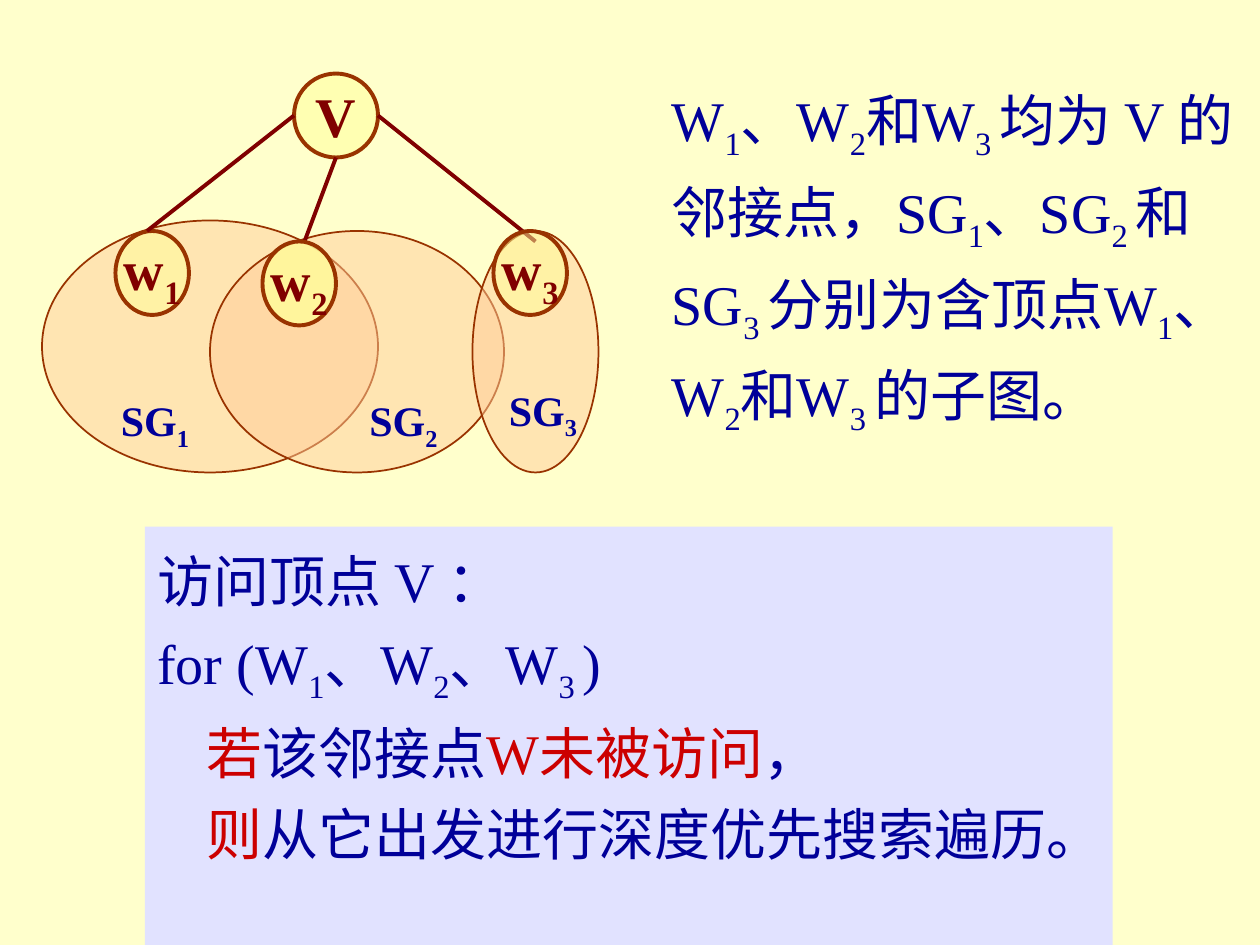
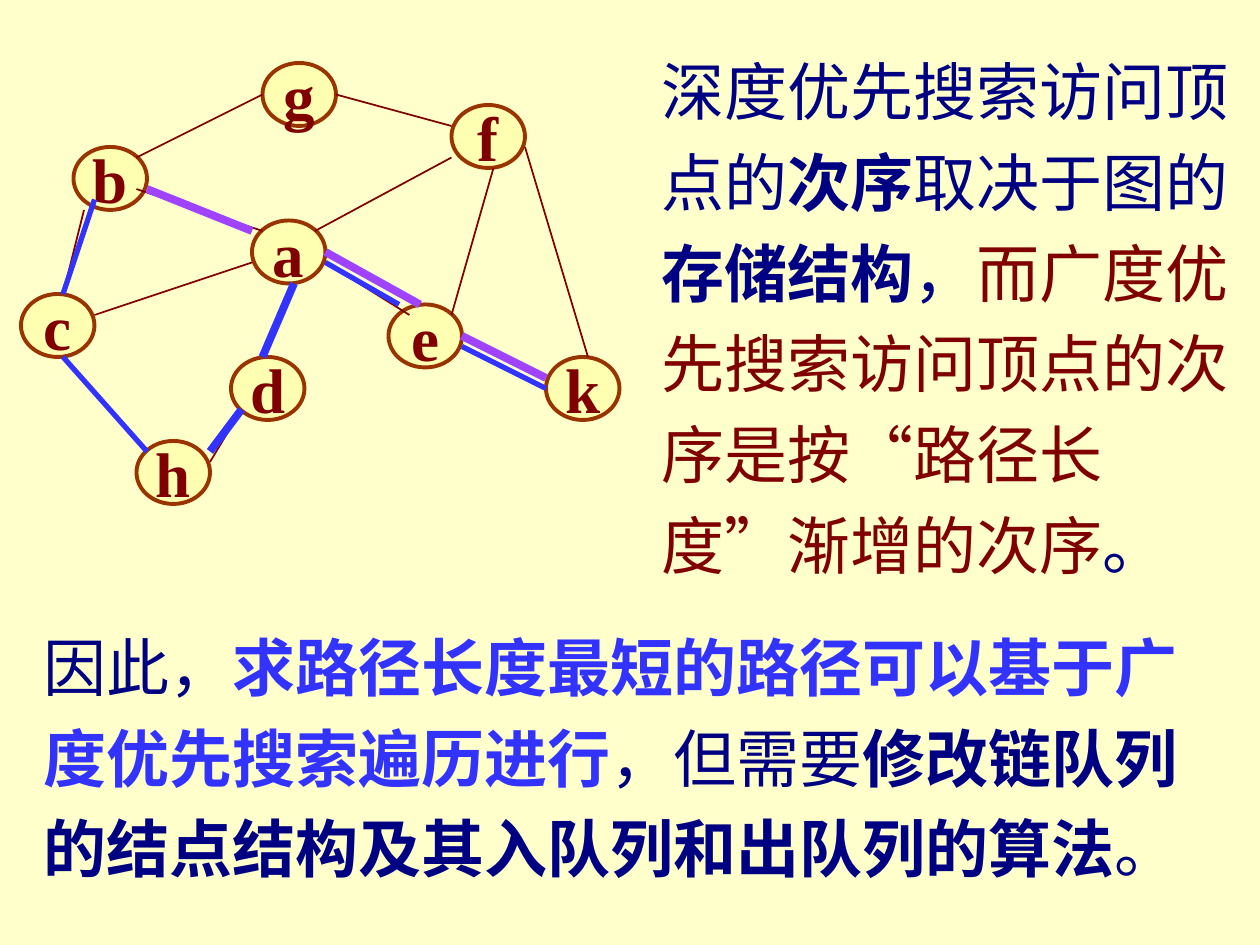
"""Build two slides on depth-first search: its recursive structure and its visiting order."""
from dataclasses import dataclass
from typing import NamedTuple

from lxml import etree
from pptx import Presentation
from pptx.dml.color import RGBColor
from pptx.enum.shapes import MSO_CONNECTOR, MSO_SHAPE
from pptx.enum.text import MSO_ANCHOR, MSO_AUTO_SIZE, PP_ALIGN
from pptx.oxml.ns import qn
from pptx.util import Pt

ELLIPSE, RECTANGLE = MSO_SHAPE.OVAL, MSO_SHAPE.RECTANGLE
STRAIGHT = MSO_CONNECTOR.STRAIGHT
MIDDLE, TOP = MSO_ANCHOR.MIDDLE, MSO_ANCHOR.TOP
CENTER, LEFT = PP_ALIGN.CENTER, PP_ALIGN.LEFT
GROW, FIXED = MSO_AUTO_SIZE.SHAPE_TO_FIT_TEXT, MSO_AUTO_SIZE.NONE

LATIN_FONT, CHINESE_FONT = "Times New Roman", "Noto Sans CJK SC"
COLORS = {
    "background": "FFFFCC", "vertex": "FFFF99", "subgraph": "FFCC99",
    "outline": "993300", "maroon": "800000", "panel": "E1E2FF",
    "blue": "000099", "red": "CC0000", "navy": "000082",
    "depth path": "3333FF", "breadth path": "A043FF",
}


class Run(NamedTuple):
    text: str
    color: str
    bold: bool = False
    subscript: bool = False


class Paragraph(NamedTuple):
    runs: list[Run]
    first_indent: float = 0


class Edge(NamedTuple):
    x1: float
    y1: float
    x2: float
    y2: float
    color: str = "maroon"
    width: float = 1


@dataclass
class Vertex:
    label: str
    left: float
    top: float
    width: float = 42
    height: float = 48
    size: float = 32
    opacity: int = 50


@dataclass
class Subgraph:
    left: float
    top: float
    width: float
    height: float


@dataclass
class Passage:
    left: float
    top: float
    width: float
    height: float
    paragraphs: list[Paragraph]
    size: float
    spacing: float = 1.2
    panel: str = ""


def rgb(color: str) -> RGBColor:
    return RGBColor.from_string(COLORS[color])


def indexed(text: str, color: str, bold: bool = False) -> list[Run]:
    """Split text into runs, lowering the character after each underscore."""
    head, *tails = text.split("_")
    runs = [Run(head, color, bold)]
    for tail in tails:
        cut = 2 if tail[1:2] == " " else 1
        runs.append(Run(tail[:cut], color, bold, True))
        if tail[cut:]:
            runs.append(Run(tail[cut:], color, bold))
    return runs


def write(paragraph, runs: list[Run], size: float) -> None:
    for part in runs:
        run = paragraph.add_run()
        run.text = part.text
        font = run.font
        font.name, font.size, font.bold = LATIN_FONT, Pt(size), part.bold
        font.color.rgb = rgb(part.color)
        properties = run._r.get_or_add_rPr()
        etree.SubElement(properties, qn("a:ea"), typeface=CHINESE_FONT)
        if part.subscript:
            properties.set("baseline", "-25000")


def draw_ellipse(slide, left: float, top: float, width: float, height: float,
                 fill: str, opacity: int, outline: float):
    ellipse = slide.shapes.add_shape(ELLIPSE, Pt(left), Pt(top), Pt(width), Pt(height))
    ellipse.shadow.inherit = False
    ellipse.fill.solid()
    ellipse.fill.fore_color.rgb = rgb(fill)
    tint = ellipse._element.spPr.find(qn("a:solidFill")).find(qn("a:srgbClr"))
    etree.SubElement(tint, qn("a:alpha"), val=str(opacity * 1000))
    ellipse.line.color.rgb = rgb("outline")
    ellipse.line.width = Pt(outline)
    return ellipse


def draw_vertex(slide, vertex: Vertex) -> None:
    circle = draw_ellipse(slide, vertex.left, vertex.top, vertex.width, vertex.height,
                          "vertex", vertex.opacity, 2.25)
    frame = circle.text_frame
    frame.word_wrap = False
    frame.auto_size = FIXED
    frame.vertical_anchor = MIDDLE
    frame.paragraphs[0].alignment = CENTER
    write(frame.paragraphs[0], indexed(vertex.label, "maroon", True), vertex.size)


def draw_subgraph(slide, subgraph: Subgraph) -> None:
    draw_ellipse(slide, subgraph.left, subgraph.top, subgraph.width, subgraph.height,
                 "subgraph", 50, 1)


def draw_edge(slide, edge: Edge) -> None:
    line = slide.shapes.add_connector(STRAIGHT, Pt(edge.x1), Pt(edge.y1),
                                      Pt(edge.x2), Pt(edge.y2))
    line.line.color.rgb = rgb(edge.color)
    line.line.width = Pt(edge.width)
    etree.SubElement(line._element.spPr, qn("a:effectLst"))


def draw_passage(slide, passage: Passage) -> None:
    place = Pt(passage.left), Pt(passage.top), Pt(passage.width), Pt(passage.height)
    if passage.panel:
        box = slide.shapes.add_shape(RECTANGLE, *place)
        box.shadow.inherit = False
        box.fill.solid()
        box.fill.fore_color.rgb = rgb(passage.panel)
        box.line.fill.background()
    else:
        box = slide.shapes.add_textbox(*place)
    frame = box.text_frame
    frame.word_wrap = True
    frame.auto_size = GROW
    frame.vertical_anchor = TOP
    for number, content in enumerate(passage.paragraphs):
        paragraph = frame.add_paragraph() if number else frame.paragraphs[0]
        paragraph.alignment = LEFT
        paragraph.line_spacing = passage.spacing
        if content.first_indent:
            properties = paragraph._p.get_or_add_pPr()
            properties.set("marL", "0")
            properties.set("indent", str(Pt(content.first_indent)))
        write(paragraph, content.runs, passage.size)


DRAWERS = {Vertex: draw_vertex, Subgraph: draw_subgraph,
           Edge: draw_edge, Passage: draw_passage}


def subgraph_label(text: str, left: float, top: float) -> Passage:
    return Passage(left, top, 58.5, 40, [Paragraph(indexed(text, "blue", True))], 24, 1)


RECURSION = [
    Vertex("V", 168, 42, width=48),
    Subgraph(24, 126, 192, 144),
    Subgraph(120, 132, 168, 138),
    Subgraph(270, 132, 72, 138),
    Vertex("w_1", 66, 132),
    Edge(168, 66, 84, 132, width=2.25),
    Edge(192, 90, 174, 138, width=2.25),
    Edge(216, 66, 306, 138, width=2.25),
    subgraph_label("SG_1", 62, 222),
    subgraph_label("SG_2", 204, 222),
    subgraph_label("SG_3", 283.7, 216),
    Passage(376.8, 36.7, 343.2, 263.5, [Paragraph(indexed(
        "W_1、W_2和W_3 均为 V 的邻接点，SG_1、SG_2 和 SG_3 分别为含顶点"
        "W_1、W_2和W_3 的子图。", "blue"))], 32),
    Passage(82.8, 301, 553, 244, [
        Paragraph([Run("访问顶点 V ：", "blue")]),
        Paragraph(indexed("for (W_1、W_2、W_3 )", "blue")),
        Paragraph([Run("若", "red"), Run("该邻接点", "blue"),
                   Run("W未被访问", "red"), Run("，", "blue")], 28),
        Paragraph([Run("则", "red"), Run("从它出发进行深度优先搜索遍历。", "blue")], 28),
    ], 32, panel="panel"),
    Vertex("w_2", 150, 138, opacity=75),
    Vertex("w_3", 282, 132),
]

GRAPH_VERTICES = [
    Vertex(label, left, top, height=36, size=36)
    for label, left, top in [
        ("a", 144, 126), ("b", 42, 84), ("c", 12, 168), ("h", 78, 252), ("d", 132, 204),
        ("e", 222, 174), ("k", 312, 204), ("f", 258, 60), ("g", 150, 36)]
]
GRAPH_EDGES = [
    Edge(144, 150, 54, 180), Edge(36, 204, 84, 258), Edge(192, 54, 258, 72),
    Edge(168, 162, 150, 204), Edge(138, 234, 120, 264), Edge(264, 198, 312, 222),
    Edge(186, 150, 234, 180), Edge(300, 84, 336, 204), Edge(282, 96, 258, 180),
    Edge(78, 90, 150, 54), Edge(78, 108, 150, 132), Edge(258, 90, 180, 132),
    Edge(48, 120, 36, 168),
]
DEPTH_PATH = [
    Edge(*ends, "depth path", width)
    for ends, width in [
        ((54, 114, 36, 168), 3), ((36, 204, 84, 258), 3), ((138, 234, 120, 258), 4.5),
        ((168, 162, 150, 204), 4.5), ((186, 150, 228, 174), 3), ((264, 198, 312, 222), 3)]
]
BREADTH_PATH = [
    Edge(*ends, "breadth path", 4.5)
    for ends in [(84, 108, 144, 132), (186, 144, 240, 174), (264, 192, 312, 216)]
]
VISITING_ORDER = [
    *GRAPH_VERTICES, *GRAPH_EDGES, *DEPTH_PATH, *BREADTH_PATH,
    Passage(18, 347, 690, 163, [Paragraph([
        Run("因此，", "navy"),
        Run("求路径长度最短的路径可以基于广度优先搜索遍历进行", "depth path", True),
        Run("，但需要", "navy"),
        Run("修改链队列的结点结构及其入队列和出队列的算法", "navy", True),
        Run("。", "navy"),
    ])], 36),
    Passage(371, 18, 355, 318, [Paragraph([
        Run("深度优先搜索访问顶点的", "navy"),
        Run("次序", "navy", True),
        Run("取决于图的", "navy"),
        Run("存储结构", "navy", True),
        Run("，", "navy"),
        Run("而广度优先搜索访问顶点的次序是按“路径长度”渐增的次序", "maroon"),
        Run("。", "navy"),
    ])], 36),
]


def main() -> None:
    deck = Presentation()
    deck.slide_width, deck.slide_height = Pt(720), Pt(540)
    for content in (RECURSION, VISITING_ORDER):
        slide = deck.slides.add_slide(deck.slide_layouts[6])
        slide.background.fill.solid()
        slide.background.fill.fore_color.rgb = rgb("background")
        for item in content:
            DRAWERS[type(item)](slide, item)
    deck.save("out.pptx")


if __name__ == "__main__":
    main()
